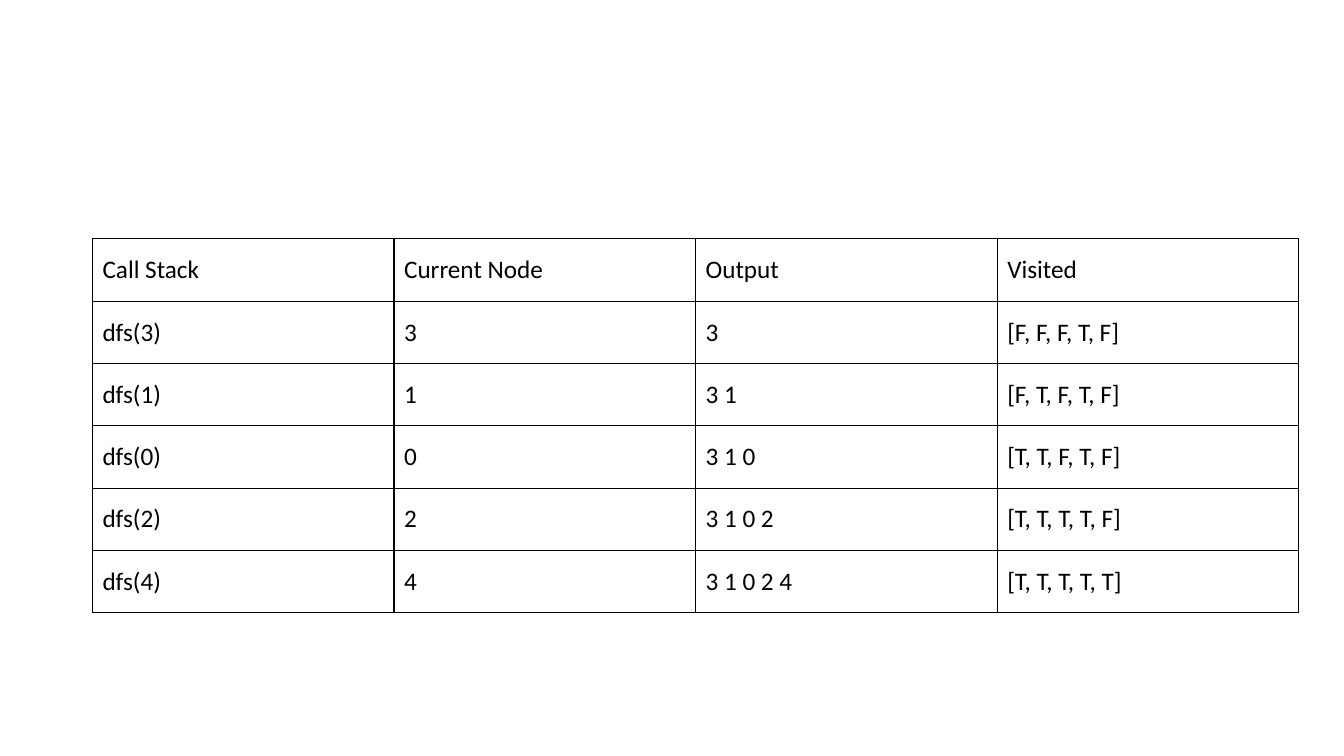
from lxml import etree
from pptx import Presentation
from pptx.dml.color import RGBColor
from pptx.enum.text import MSO_ANCHOR
from pptx.oxml.ns import qn
from pptx.util import Cm, Pt

MIDDLE = MSO_ANCHOR.MIDDLE
BLACK = "000000"
BORDER_TAGS = ("a:lnL", "a:lnR", "a:lnT", "a:lnB")
COLUMN_WIDTH = Cm(7.6)
ROW_HEIGHT = Cm(1.57)


def write_cell(cell, text, font="Calibri", size=18, color=BLACK):
    cell.vertical_anchor = MIDDLE
    paragraph = cell.text_frame.paragraphs[0]
    run = paragraph.add_run()
    run.text = text
    run.font.name = font
    run.font.size = Pt(size)
    run.font.color.rgb = RGBColor.from_string(color)


def outline_cell(cell, color=BLACK, width=1):
    properties = cell._tc.get_or_add_tcPr()
    for tag in BORDER_TAGS:
        border = etree.SubElement(properties, qn(tag), w=str(Pt(width)))
        solid = etree.SubElement(border, qn("a:solidFill"))
        etree.SubElement(solid, qn("a:srgbClr"), val=color)


prs = Presentation()
prs.slide_width = Cm(33.87)
prs.slide_height = Cm(19.05)
slide = prs.slides.add_slide(prs.slide_layouts[6])

# Depth-first search trace, one call per row
trace = [
    ("Call Stack", "Current Node", "Output", "Visited"),
    ("dfs(3)", "3", "3", "[F, F, F, T, F]"),
    ("dfs(1)", "1", "3 1", "[F, T, F, T, F]"),
    ("dfs(0)", "0", "3 1 0", "[T, T, F, T, F]"),
    ("dfs(2)", "2", "3 1 0 2", "[T, T, T, T, F]"),
    ("dfs(4)", "4", "3 1 0 2 4", "[T, T, T, T, T]"),
]
row_count, column_count = len(trace), len(trace[0])
trace_table = slide.shapes.add_table(
    row_count, column_count, Cm(2.33), Cm(6.02),
    COLUMN_WIDTH * column_count, ROW_HEIGHT * row_count,
).table
trace_table.first_row = False
trace_table.horz_banding = False

# Equal columns and rows
for column in trace_table.columns:
    column.width = COLUMN_WIDTH
for row in trace_table.rows:
    row.height = ROW_HEIGHT

# Cell text, borders and empty fill
for row, values in zip(trace_table.rows, trace):
    for cell, value in zip(row.cells, values):
        write_cell(cell, value)
        outline_cell(cell)
        cell.fill.background()

prs.save("out.pptx")
